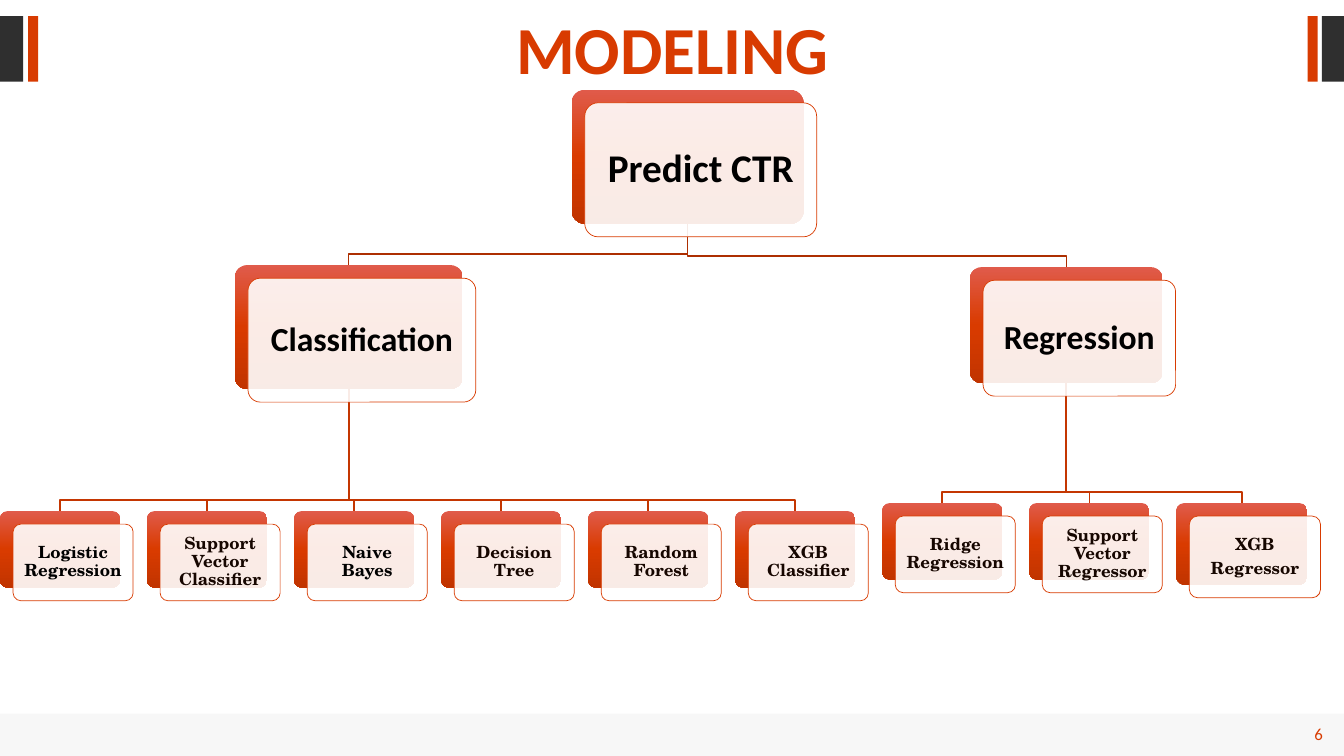
"""Build the modeling slide: a tree of click-through-rate prediction models."""
import copy

import pptx
import pptx.dml.color
import pptx.enum.shapes
import pptx.enum.text
import pptx.oxml.ns
import pptx.util
from pptx.util import Inches

ORANGE, DARK, BLACK, INK = "D83B01", "2F2F2F", "000000", "160600"
BRANCH_LINE, LEAF_LINE = "AD2F01", "C43601"
GRADIENT = [(0, "E05B4B"), (50, "D93B00"), (100, "C13400")]
SANS, SERIF = "Calibri", "TeX Gyre Schola"

TITLE = "MODELING"
PAGE_NUMBER = "6"
ROOT = {"lines": ["Predict CTR"], "box": (5.67, 0.89, 2.3, 1.33), "size": 28}
BRANCHES = [
    {"lines": ["Classification"], "box": (2.33, 2.63, 2.26, 1.23), "leaf_top": 5.07,
     "leaves": [(["Logistic Regression"], BLACK), (["Support Vector Classifier"], INK),
                (["Naive Bayes"], BLACK), (["Decision Tree"], INK),
                (["Random Forest"], INK), (["XGB Classifier"], INK)]},
    {"lines": ["Regression"], "box": (9.62, 2.65, 1.91, 1.15), "leaf_top": 4.99,
     "leaves": [(["Ridge Regression"], INK), (["Support Vector Regressor"], INK),
                (["XGB", "Regressor"], INK)]},
]
BARS = [
    ((0, 0.16, 0.23, 0.65), DARK), ((0.28, 0.16, 0.1, 0.65), ORANGE),
    ((12.97, 0.16, 0.1, 0.65), ORANGE), ((13.11, 0.16, 0.22, 0.65), DARK),
]
FOOTER = (0, 7.08, 13.33, 0.42)
LEAF_SIZE, WIDE_LEAF_SIZE = (1.19, 0.76), (1.3, 0.81)
LEAF_PITCH = 8.75 / 6
CARD_SHIFT = 0.13
ELBOW_RISE = 0.11


def color(hex_string):
    return pptx.dml.color.RGBColor.from_string(hex_string)


def add_box(slide, box, fill=None, opacity=100, rounded=False):
    kinds = pptx.enum.shapes.MSO_SHAPE
    kind = kinds.ROUNDED_RECTANGLE if rounded else kinds.RECTANGLE
    shape = slide.shapes.add_shape(kind, *map(Inches, box))
    shape.shadow.inherit = False
    shape.line.fill.background()
    if rounded:
        shape.adjustments[0] = 0.1
    if fill:
        shape.fill.solid()
        shape.fill.fore_color.rgb = color(fill)
    if opacity < 100:
        fill_color = next(shape.element.iter(pptx.oxml.ns.qn("a:srgbClr")))
        alpha = fill_color.makeelement(pptx.oxml.ns.qn("a:alpha"), {"val": str(opacity * 1000)})
        fill_color.append(alpha)
    return shape


def fill_gradient(shape):
    shape.fill.gradient()
    shape.fill.gradient_angle = 270
    stop_list = next(shape.element.iter(pptx.oxml.ns.qn("a:gsLst")))
    stop_list.append(copy.deepcopy(stop_list[-1]))
    for stop, (position, hex_string) in zip(shape.fill.gradient_stops, GRADIENT):
        stop.position = position / 100
        stop.color.rgb = color(hex_string)


def write(frame, lines, size, font, hex_string, bold=True, align="CENTER", after=0.0):
    frame.word_wrap = True
    for index, line in enumerate(lines):
        paragraph = frame.add_paragraph() if index else frame.paragraphs[0]
        paragraph.alignment = pptx.enum.text.PP_ALIGN[align]
        paragraph.line_spacing = 0.9
        paragraph.space_after = pptx.util.Pt(after)
        run = paragraph.add_run()
        run.text = line
        run.font.size = pptx.util.Pt(size)
        run.font.name = font
        run.font.bold = bold
        run.font.color.rgb = color(hex_string)


def add_card(slide, box, lines, size, font, hex_string, inset):
    left, top, width, height = box
    fill_gradient(add_box(slide, box, rounded=True))
    front = (left + CARD_SHIFT, top + CARD_SHIFT, width, height)
    card = add_box(slide, front, "FFFFFF", 90, rounded=True)
    card.line.color.rgb = color(ORANGE)
    card.line.width = pptx.util.Pt(0.5)
    frame = card.text_frame
    frame.vertical_anchor = pptx.enum.text.MSO_ANCHOR.MIDDLE
    frame.margin_left = frame.margin_right = Inches(inset)
    frame.margin_top = frame.margin_bottom = Inches(inset)
    write(frame, lines, size, font, hex_string, after=0.35 * size)


def add_elbow(slide, parent, child, hex_string):
    start_x, start_y = parent[0] + parent[2] / 2, parent[1] + parent[3]
    end_x, end_y = child[0] + child[2] / 2, child[1]
    turn_y = end_y - ELBOW_RISE
    builder = slide.shapes.build_freeform(Inches(start_x), Inches(start_y))
    corners = [(start_x, turn_y), (end_x, turn_y), (end_x, end_y)]
    builder.add_line_segments([(Inches(x), Inches(y)) for x, y in corners], close=False)
    elbow = builder.convert_to_shape()
    elbow.shadow.inherit = False
    elbow.fill.background()
    elbow.line.color.rgb = color(hex_string)
    elbow.line.width = pptx.util.Pt(1)


def add_tree(slide):
    cards = [(ROOT["box"], ROOT["lines"], ROOT["size"], SANS, BLACK, 0.16)]
    column = 0
    for branch in BRANCHES:
        add_elbow(slide, ROOT["box"], branch["box"], BRANCH_LINE)
        cards.append((branch["box"], branch["lines"], 24, SANS, BLACK, 0.14))
        for lines, hex_string in branch["leaves"]:
            size = WIDE_LEAF_SIZE if len(lines) > 1 else LEAF_SIZE
            box = (column * LEAF_PITCH, branch["leaf_top"], *size)
            add_elbow(slide, branch["box"], box, LEAF_LINE)
            cards.append((box, lines, 12, SERIF, hex_string, 0.06))
            column += 1
    for card in cards:
        add_card(slide, *card)


def main():
    presentation = pptx.Presentation()
    presentation.slide_width, presentation.slide_height = Inches(13.33), Inches(7.5)
    slide = presentation.slides.add_slide(presentation.slide_layouts[5])

    title = slide.shapes.title
    title.left, title.top, title.width, title.height = map(Inches, (0.92, 0.11, 11.5, 0.91))
    title.text_frame.vertical_anchor = pptx.enum.text.MSO_ANCHOR.TOP
    write(title.text_frame, [TITLE], 48, SANS, ORANGE)

    for box, fill in BARS:
        add_box(slide, box, fill)
    add_box(slide, FOOTER, "E6E6E6", 30)
    number = slide.shapes.add_textbox(*map(Inches, (12.35, 7.14, 0.87, 0.3)))
    number.text_frame.vertical_anchor = pptx.enum.text.MSO_ANCHOR.MIDDLE
    write(number.text_frame, [PAGE_NUMBER], 12, SANS, ORANGE, bold=False, align="RIGHT")

    add_tree(slide)
    presentation.save("out.pptx")


if __name__ == "__main__":
    main()
